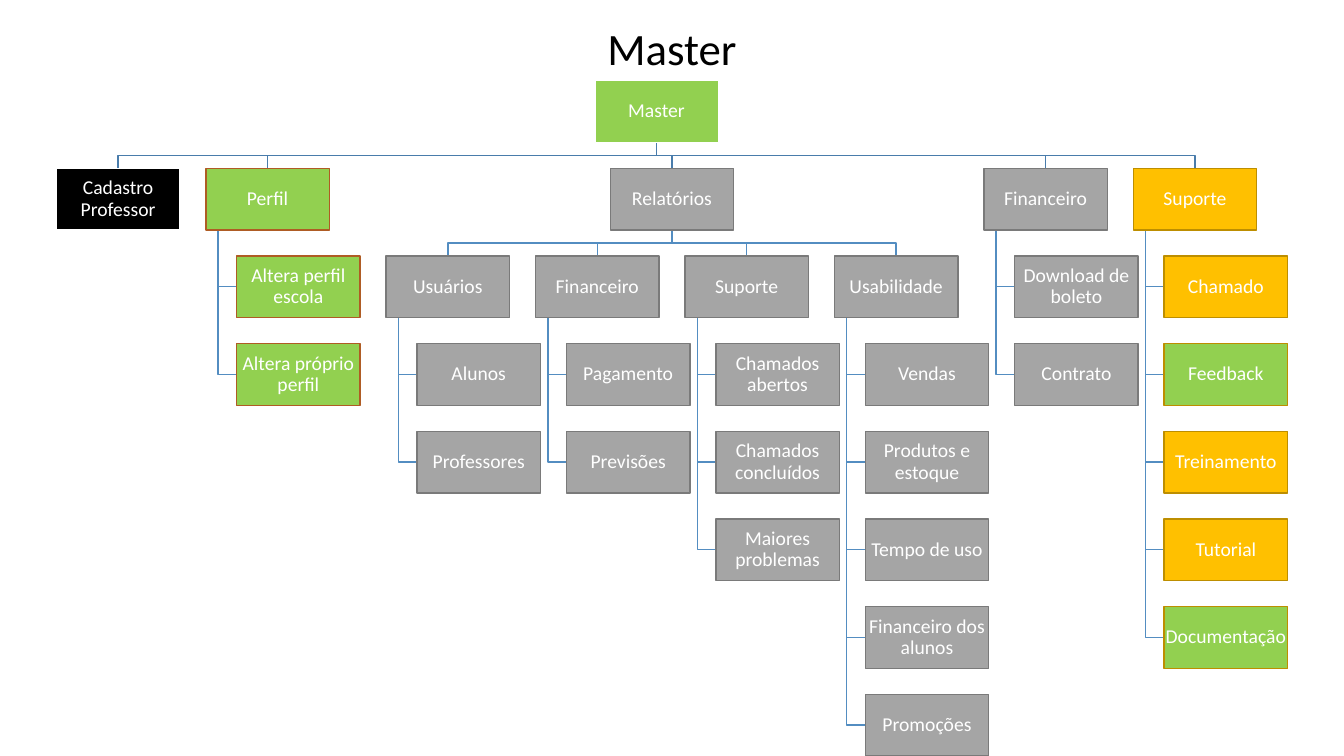
from dataclasses import dataclass
from typing import NamedTuple

from pptx import Presentation, util as u
from pptx.dml.color import RGBColor
from pptx.enum import shapes, text

PAGE_W, PAGE_H = 13.33, 7.5
TOP = 0.8                       # height of the title band
ROWS, COLUMNS = 8, 8

# Proportions of the chart, as shares of one box width
HEIGHT, GAP, INDENT, STEM = 0.5, 0.21, 0.25, 0.1
ROW, COLUMN = HEIGHT + GAP, 1 + GAP
BOX_W = (PAGE_H - TOP) / ((ROWS - 1) * ROW + HEIGHT)
BOX_H = BOX_W * HEIGHT
CHART_W = BOX_W * ((COLUMNS - 1) * COLUMN + 1 + 2 * INDENT)
MARGIN = (PAGE_W - CHART_W) / 2

FONT, WHITE, BLACK = "Calibri", "FFFFFF", "000000"
TRUNK, BRANCH = "497CAB", "538DC1"


class Style(NamedTuple):
    """Fill and outline of a box."""
    fill: str
    line: str


ROOT = Style("92D050", WHITE)
DARK = Style(BLACK, WHITE)
PROFILE = Style("92D050", "AF5C24")
GREY = Style("A5A5A5", "7A7A7A")
AMBER = Style("FFC000", "BD8E00")
DONE = Style("92D050", "BD8E00")


@dataclass
class Node:
    """A box of the chart with the boxes below it."""
    label: str
    style: Style
    children: tuple["Node", ...] = ()
    column: int | None = None   # None: centred above its children
    left: float = 0
    top: float = 0

    @property
    def middle(self) -> float:
        """Horizontal centre of the box."""
        return self.left + BOX_W / 2

    @property
    def bottom(self) -> float:
        """Lower edge of the box."""
        return self.top + BOX_H


def leaves(style: Style, *labels: str) -> tuple[Node, ...]:
    """Make childless nodes that share a style."""
    return tuple(Node(label, style) for label in labels)


REPORTS = (
    Node("Usuários", GREY, leaves(GREY, "Alunos", "Professores"), 2),
    Node("Financeiro", GREY, leaves(GREY, "Pagamento", "Previsões"), 3),
    Node("Suporte", GREY, leaves(GREY, "Chamados abertos", "Chamados concluídos",
                                 "Maiores problemas"), 4),
    Node("Usabilidade", GREY, leaves(GREY, "Vendas", "Produtos e estoque", "Tempo de uso",
                                     "Financeiro dos alunos", "Promoções"), 5),
)
SUPPORT = (
    Node("Chamado", AMBER), Node("Feedback", DONE), Node("Treinamento", AMBER),
    Node("Tutorial", AMBER), Node("Documentação", DONE),
)
MASTER = Node("Master", ROOT, (
    Node("Cadastro Professor", DARK, column=0),
    Node("Perfil", PROFILE, leaves(PROFILE, "Altera perfil escola", "Altera próprio perfil"), 1),
    Node("Relatórios", GREY, REPORTS),
    Node("Financeiro", GREY, leaves(GREY, "Download de boleto", "Contrato"), 6),
    Node("Suporte", AMBER, SUPPORT, 7),
))


def color(value: str) -> RGBColor:
    """Turn a hex string into a colour."""
    return RGBColor.from_string(value)


def place(node: Node, row: int = 0) -> None:
    """Set the position of a node and of everything below it."""
    node.top = TOP + row * ROW * BOX_W
    if node.column is None:
        for child in node.children:
            place(child, row + 1)
        node.left = (node.children[0].left + node.children[-1].left) / 2
        return
    shift = INDENT if node.column >= 2 else 0   # room for the list under Perfil
    node.left = MARGIN + (node.column * COLUMN + shift) * BOX_W
    for index, child in enumerate(node.children, 1):
        child.left = node.left + INDENT * BOX_W
        child.top = node.top + index * ROW * BOX_W


def write(box, content: str, *, size: float, ink: str, anchor, inset: float) -> None:
    """Put one centred paragraph into a shape."""
    frame = box.text_frame
    frame.word_wrap = True
    frame.vertical_anchor = anchor
    frame.margin_left = frame.margin_right = u.Inches(inset)
    frame.margin_top = frame.margin_bottom = u.Inches(inset)
    para = frame.paragraphs[0]
    para.alignment = text.PP_ALIGN.CENTER
    para.line_spacing = 0.9
    span = para.add_run()
    span.text = content
    span.font.name, span.font.size = FONT, u.Pt(size)
    span.font.color.rgb = color(ink)


def draw_link(page, parent: Node, child: Node) -> None:
    """Draw the elbow line between two nodes."""
    if parent.column is None:
        bend = parent.bottom + GAP * BOX_W / 2
        points = [(parent.middle, parent.bottom), (parent.middle, bend),
                  (child.middle, bend), (child.middle, child.top)]
    else:
        stem, level = parent.left + STEM * BOX_W, child.top + BOX_H / 2
        points = [(stem, parent.bottom), (stem, level), (child.left, level)]
    start, *rest = [(u.Inches(x), u.Inches(y)) for x, y in points]
    builder = page.shapes.build_freeform(*start)
    builder.add_line_segments(rest, close=False)
    link = builder.convert_to_shape()
    link.shadow.inherit = False
    link.fill.background()
    link.line.width = u.Pt(1)
    link.line.color.rgb = color(TRUNK if parent is MASTER else BRANCH)


def draw_links(page, node: Node) -> None:
    """Draw all lines below a node."""
    for child in node.children:
        draw_links(page, child)
        draw_link(page, node, child)


def draw_boxes(page, node: Node) -> None:
    """Draw a node and all nodes below it."""
    box = page.shapes.add_shape(shapes.MSO_SHAPE.RECTANGLE, u.Inches(node.left),
                                u.Inches(node.top), u.Inches(BOX_W), u.Inches(BOX_H))
    box.shadow.inherit = False
    box.fill.solid()
    box.fill.fore_color.rgb = color(node.style.fill)
    box.line.color.rgb = color(node.style.line)
    box.line.width = u.Pt(1)
    write(box, node.label, size=14, ink=WHITE, anchor=text.MSO_ANCHOR.MIDDLE, inset=0.01)
    for child in node.children:
        draw_boxes(page, child)


def main() -> None:
    """Build the slide and save it."""
    deck = Presentation()
    deck.slide_width, deck.slide_height = u.Inches(PAGE_W), u.Inches(PAGE_H)
    page = deck.slides.add_slide(deck.slide_layouts[6])
    title = page.shapes.add_textbox(0, 0, u.Inches(PAGE_W), u.Inches(TOP))
    write(title, "Master", size=32, ink=BLACK, anchor=text.MSO_ANCHOR.BOTTOM, inset=0.05)
    place(MASTER)
    draw_links(page, MASTER)
    draw_boxes(page, MASTER)
    deck.save("out.pptx")


main()
